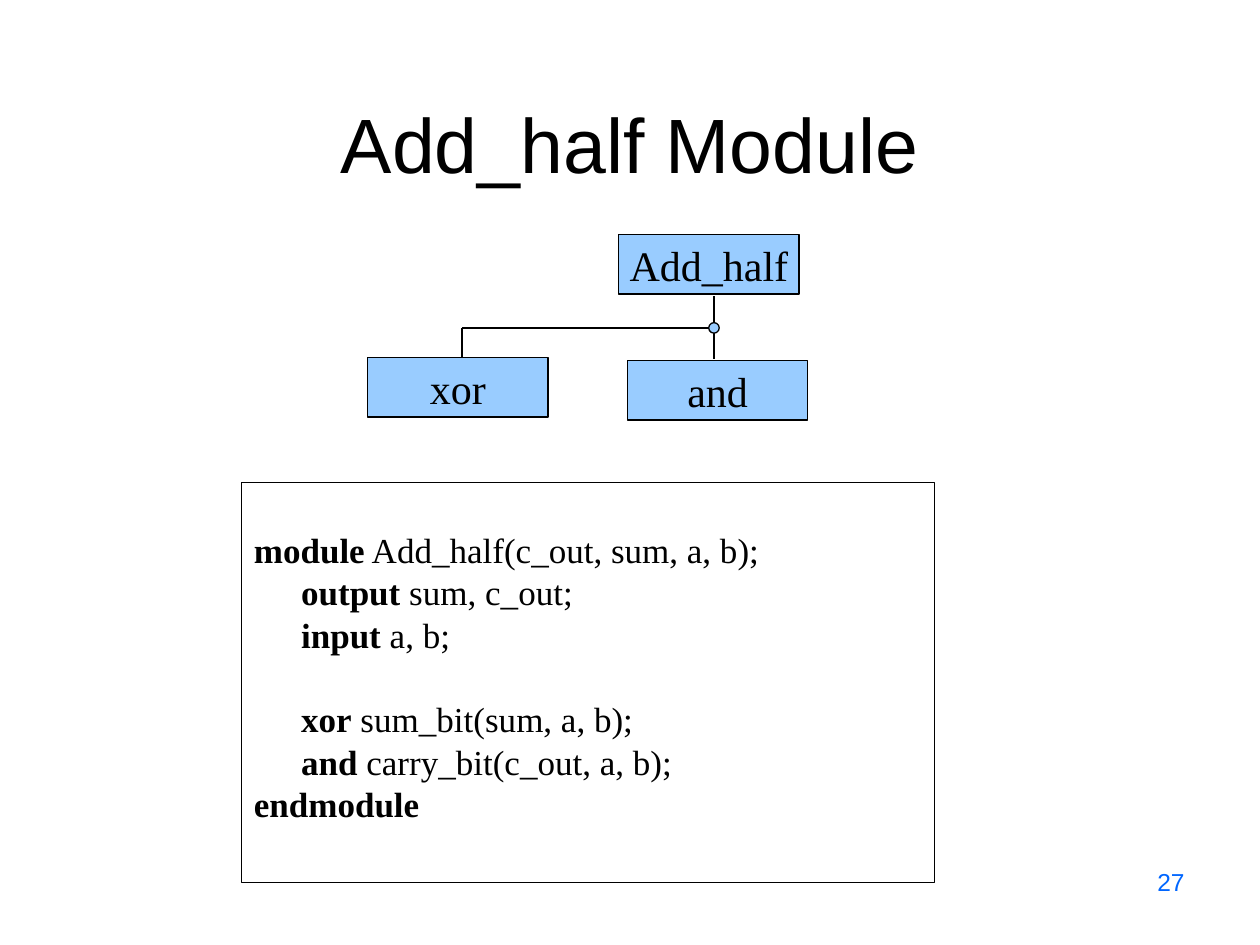
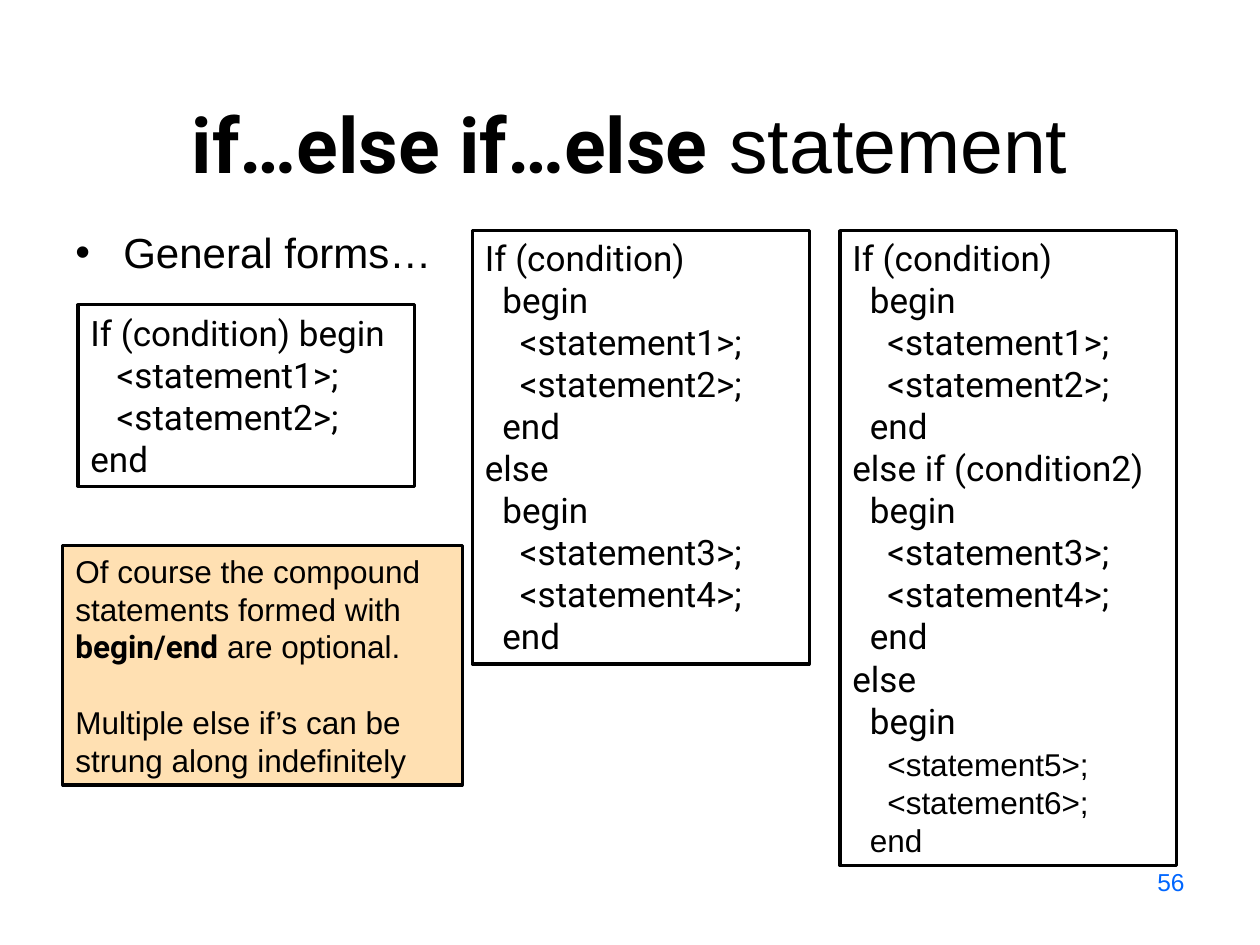
from lxml import etree
from pptx import Presentation
from pptx.dml.color import RGBColor
from pptx.enum.shapes import MSO_CONNECTOR, MSO_SHAPE
from pptx.enum.text import MSO_ANCHOR, PP_ALIGN
from pptx.oxml.ns import qn
from pptx.util import Pt

RECT, OVAL, STRAIGHT = MSO_SHAPE.RECTANGLE, MSO_SHAPE.OVAL, MSO_CONNECTOR.STRAIGHT
LEFT, CENTER, RIGHT = PP_ALIGN.LEFT, PP_ALIGN.CENTER, PP_ALIGN.RIGHT
TOP, MIDDLE, BOTTOM = MSO_ANCHOR.TOP, MSO_ANCHOR.MIDDLE, MSO_ANCHOR.BOTTOM

# ---- Shared style ----
COLORS = {"text": "000000", "node": "99CCFF", "number": "0066FF", "note": "FF9900"}
SANS, SERIF, CODE = "Arial", "Times New Roman", "Roboto"
LEADING = 1.2           # line pitch as a multiple of the text size
THIN, THICK = 0.74, 1.76
TITLE_BOX = (36, 21.6, 648, 90)
NUMBER_BOX = (516, 492, 168, 37.2)

# ---- Content of slide 1 ----
NODES = [("Add_half", 353.6, 134), ("and", 358.6, 206), ("xor", 210.2, 204.3)]
NODE_SIZE = (103, 34)
JUNCTION = (408, 187.4)
XOR_X = 264
WIRES = [(JUNCTION[0], 169.2, JUNCTION[0], 205.4),
         (XOR_X, 204, XOR_X, JUNCTION[1]),
         (*JUNCTION, XOR_X, JUNCTION[1])]
DOT = 6

MODULE_BOX = (138, 275.8, 396, 228.4)
MODULE_PITCH = 24.2
# indent, keyword, rest of the line, blank lines above
MODULE = [(0, "module", " Add_half(c_out, sum, a, b);", 0),
          (27, "output", " sum, c_out;", 0),
          (27, "input", " a, b;", 0),
          (27, "xor", " sum_bit(sum, a, b);", 1),
          (27, "and", " carry_bit(c_out, a, b);", 0),
          (0, "endmodule", "", 0)]

# ---- Content of slide 2 ----
IF_TITLE = [("if…else if…else", {"name": CODE, "bold": True}), (" statement", {})]
BULLET_BOX = (36, 126, 648, 41.8)


def block(first, last):
    """A begin/end block around two numbered statements, as (level, line)."""
    return [(1, "begin"), (2, f"<statement{first}>;"), (2, f"<statement{last}>;"), (1, "end")]


IF_ELSE = [(0, "If (condition)"), *block(1, 2), (0, "else"), *block(3, 4)]
ELSE_IF = [(0, "If (condition)"), *block(1, 2), (0, "else if (condition2)"),
           *block(3, 4), (0, "else"), *block(5, 6)]
SIMPLE_IF = [(0, "If (condition) begin"), (1, "<statement1>;"), (1, "<statement2>;"), (0, "end")]
# box, width of one indent level, lines, number of closing lines in the smaller sans font
LISTINGS = [((44.6, 174.2, 192.4, 103.7), 15, SIMPLE_IF, 0),
            ((270, 131.8, 192.4, 247.7), 10, IF_ELSE, 0),
            ((480, 131.8, 192.4, 362.9), 10, ELSE_IF, 3)]

NOTE_BOX = (36, 311.8, 228.2, 136.8)
NOTE = [[("Of course the compound statements formed with ", {}),
         ("begin/end", {"name": CODE, "bold": True}), (" are optional.", {})],
        [("Multiple else if’s can be strung along indefinitely", {})]]


# ---- Helpers ----
def rgb(name):
    return RGBColor.from_string(COLORS[name])


def para(runs, size=20, font=SANS, color="text", align=LEFT, indent=0, hanging=0,
         pitch=None, before=0):
    """Describe one paragraph; runs is a string or a list of (text, font format)."""
    if isinstance(runs, str):
        runs = [(runs, {})]
    return {"runs": runs, "font": {"name": font, "size": Pt(size), "bold": False},
            "color": color, "indent": indent, "hanging": hanging,
            "format": {"alignment": align, "line_spacing": Pt(pitch or size * LEADING),
                       "space_before": Pt(before)}}


def write(sp, paras, anchor=TOP, wrap=True, top=3.6):
    tf = sp.text_frame
    frame = {"word_wrap": wrap, "vertical_anchor": anchor, "margin_left": Pt(7.2),
             "margin_right": Pt(7.2), "margin_top": Pt(top), "margin_bottom": Pt(3.6)}
    for key, value in frame.items():
        setattr(tf, key, value)
    for i, spec in enumerate(paras):
        p = tf.add_paragraph() if i else tf.paragraphs[0]
        for key, value in spec["format"].items():
            setattr(p, key, value)
        if spec["indent"]:
            pPr = p._p.get_or_add_pPr()
            pPr.set("marL", str(Pt(spec["indent"])))
            pPr.set("indent", str(-Pt(spec["hanging"])))
        for text, changes in spec["runs"]:
            r = p.add_run()
            r.text = text
            for key, value in {**spec["font"], **changes}.items():
                setattr(r.font, key, value)
            r.font.color.rgb = rgb(spec["color"])
    return tf


def text_box(s, box, paras, **frame):
    return write(s.shapes.add_textbox(*map(Pt, box)), paras, **frame)


def shape(s, kind, box, fill=None, width=THIN):
    sp = s.shapes.add_shape(kind, *map(Pt, box))
    sp.shadow.inherit = False
    if fill:
        sp.fill.solid()
        sp.fill.fore_color.rgb = rgb(fill)
    else:
        sp.fill.background()
    sp.line.color.rgb = rgb("text")
    sp.line.width = Pt(width)
    return sp


def wire(s, ends):
    c = s.shapes.add_connector(STRAIGHT, *map(Pt, ends))
    c.line.color.rgb = rgb("text")
    c.line.width = Pt(THIN)
    etree.SubElement(c._element.spPr, qn("a:effectLst"))


def new_slide(title, number):
    s = prs.slides.add_slide(prs.slide_layouts[6])
    text_box(s, TITLE_BOX, [para(title, 44, align=CENTER)], anchor=BOTTOM)
    text_box(s, NUMBER_BOX, [para(number, 14, color="number", align=RIGHT)])
    return s


prs = Presentation()
prs.slide_width, prs.slide_height = Pt(720), Pt(540)

# ---- Slide 1: module hierarchy and its code ----
s = new_slide("Add_half Module", "27")
lines = [para([(word, {"bold": True}), (rest, {})] if rest else [(word, {"bold": True})],
              font=SERIF, indent=indent, pitch=MODULE_PITCH, before=blank * MODULE_PITCH)
         for indent, word, rest, blank in MODULE]
write(shape(s, RECT, MODULE_BOX), lines, top=26)

for ends in WIRES:
    wire(s, ends)
shape(s, OVAL, (JUNCTION[0] - DOT / 2, JUNCTION[1] - DOT / 2, DOT, DOT), "node")
for name, x, y in NODES:
    write(shape(s, RECT, (x, y, *NODE_SIZE), "node"),
          [para(name, 24, SERIF, align=CENTER)], anchor=MIDDLE, wrap=False)

# ---- Slide 2: forms of the if statement ----
s = new_slide(IF_TITLE, "56")
tf = text_box(s, BULLET_BOX, [para("General forms…", 24, indent=27.4, hanging=27.4)])
pPr = tf.paragraphs[0]._p.get_or_add_pPr()
etree.SubElement(pPr, qn("a:buFont"), typeface=SANS)
etree.SubElement(pPr, qn("a:buChar"), char="•")

for box, step, code, small in LISTINGS:
    full = len(code) - small
    lines = [para(line, indent=level * step, font=CODE) if i < full else
             para(line, 18, indent=level * step, pitch=24 if i == full else None)
             for i, (level, line) in enumerate(code)]
    write(shape(s, RECT, box, width=THICK), lines)

note = shape(s, RECT, NOTE_BOX, "note", THICK)
note_color = note._element.spPr.find(qn("a:solidFill"))[0]
etree.SubElement(note_color, qn("a:alpha"), val="30000")
write(note, [para(runs, 18, before=i * 18 * LEADING) for i, runs in enumerate(NOTE)])

prs.save("out.pptx")
